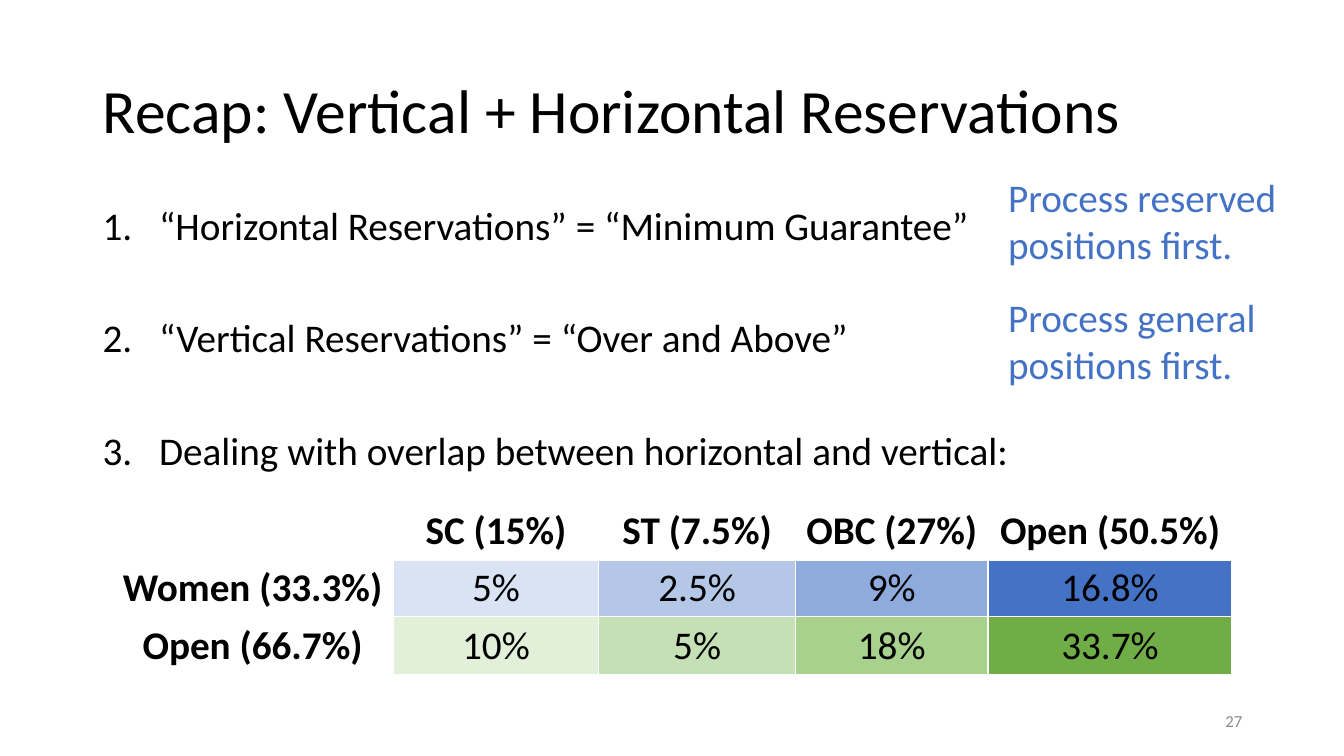
from dataclasses import dataclass

import pptx
import pptx.dml.color
import pptx.enum.text
import pptx.oxml.ns
import pptx.util
from lxml import etree

Inches = pptx.util.Inches
Pt = pptx.util.Pt
ALIGN = pptx.enum.text.PP_ALIGN
ANCHOR = pptx.enum.text.MSO_ANCHOR

FONT = "Calibri"
COLORS = {"text": "000000", "note": "4472C4", "number": "8C8C8C", "border": "FFFFFF"}
WOMEN_FILLS = ["DAE3F3", "B4C7E7", "8FAADC", "4472C4"]
OPEN_FILLS = ["E2F0D9", "C5E0B4", "A9D18E", "70AD47"]


@dataclass
class Area:
    left: float
    top: float
    width: float
    height: float

    def lengths(self) -> list:
        return [Inches(n) for n in (self.left, self.top, self.width, self.height)]


@dataclass
class Note:
    text: str
    top: float


@dataclass
class Row:
    labels: list[str]
    fills: list[str | None]
    bold_columns: range


POINTS = [
    "“Horizontal Reservations” = “Minimum Guarantee”",
    "“Vertical Reservations” = “Over and Above”",
    "Dealing with overlap between horizontal and vertical:",
]
NOTES = [
    Note("Process reserved positions first.", 1.67),
    Note("Process general positions first.", 2.86),
]
COLUMN_WIDTHS = [2.79, 2.04, 1.95, 1.91, 2.42]
ROW_HEIGHT = 0.57
ROWS = [
    Row(["", "SC (15%)", "ST (7.5%)", "OBC (27%)", "Open (50.5%)"], [None] * 5, range(5)),
    Row(["Women (33.3%)", "5%", "2.5%", "9%", "16.8%"], [None, *WOMEN_FILLS], range(1)),
    Row(["Open (66.7%)", "10%", "5%", "18%", "33.7%"], [None, *OPEN_FILLS], range(1)),
]


def write(para, text: str, *, size: float = 28, color: str = "text",
          bold: bool = False, align=ALIGN.LEFT, line_spacing: float = 1.0) -> None:
    """Add one formatted run to a paragraph."""
    para.alignment = align
    para.line_spacing = line_spacing
    span = para.add_run()
    span.text = text
    span.font.name = FONT
    span.font.size = Pt(size)
    span.font.bold = bold
    span.font.color.rgb = pptx.dml.color.RGBColor.from_string(COLORS[color])


def add_box(page, area: Area, anchor=ANCHOR.TOP):
    """Add a wrapping text box and return its text frame."""
    frame = page.shapes.add_textbox(*area.lengths()).text_frame
    frame.word_wrap = True
    frame.vertical_anchor = anchor
    return frame


def number_paragraph(para, indent: float) -> None:
    """Give a paragraph a hanging automatic number."""
    properties = para._p.get_or_add_pPr()
    properties.set("marL", str(Inches(indent)))
    properties.set("indent", str(-Inches(indent)))
    etree.SubElement(properties, pptx.oxml.ns.qn("a:buAutoNum"), type="arabicPeriod")


def add_points(page) -> None:
    frame = add_box(page, Area(0.92, 2, 11.5, 4.76))
    for index, text in enumerate(POINTS):
        para = frame.add_paragraph() if index else frame.paragraphs[0]
        number_paragraph(para, 0.56)
        if index:
            para.space_before = Pt(50)
        write(para, text, line_spacing=0.9)


def add_borders(cell, bottom: float) -> None:
    """Draw white lines round a cell; must precede the cell fill."""
    qn = pptx.oxml.ns.qn
    properties = cell._tc.get_or_add_tcPr()
    for side, width in {"L": 1, "R": 1, "T": 1, "B": bottom}.items():
        line = etree.SubElement(properties, qn(f"a:ln{side}"), w=str(Pt(width)))
        fill = etree.SubElement(line, qn("a:solidFill"))
        etree.SubElement(fill, qn("a:srgbClr"), val=COLORS["border"])


def add_share_table(page) -> None:
    area = Area(1.11, 4.98, sum(COLUMN_WIDTHS), ROW_HEIGHT * len(ROWS))
    table = page.shapes.add_table(len(ROWS), len(COLUMN_WIDTHS), *area.lengths()).table
    table.first_row = table.horz_banding = False
    for column, width in zip(table.columns, COLUMN_WIDTHS):
        column.width = Inches(width)
    for row_index, row in enumerate(ROWS):
        table.rows[row_index].height = Inches(ROW_HEIGHT)
        for column_index, (label, color) in enumerate(zip(row.labels, row.fills)):
            cell = table.cell(row_index, column_index)
            add_borders(cell, bottom=1 if row_index else 3)
            if color:
                cell.fill.solid()
                cell.fill.fore_color.rgb = pptx.dml.color.RGBColor.from_string(color)
            else:
                cell.fill.background()
            if label:
                write(cell.text_frame.paragraphs[0], label, align=ALIGN.CENTER,
                      bold=column_index in row.bold_columns)


def main() -> None:
    deck = pptx.Presentation()
    deck.slide_width, deck.slide_height = Inches(13.33), Inches(7.5)
    page = deck.slides.add_slide(deck.slide_layouts.get_by_name("Title Only"))

    # Title
    title = page.shapes.title
    title.left, title.top, title.width, title.height = Area(0.92, 0.4, 11.5, 1.45).lengths()
    title.text_frame.vertical_anchor = ANCHOR.MIDDLE
    write(title.text_frame.paragraphs[0], "Recap: Vertical + Horizontal Reservations",
          size=44, line_spacing=0.9)

    # Numbered points
    add_points(page)

    # Slide number
    number = add_box(page, Area(9.42, 6.95, 3, 0.4), ANCHOR.MIDDLE)
    write(number.paragraphs[0], "27", size=12, color="number", align=ALIGN.RIGHT)

    # Side notes
    for note in NOTES:
        frame = add_box(page, Area(9.9, note.top, 3.43, 1.04))
        write(frame.paragraphs[0], note.text, color="note")

    # Table of shares
    add_share_table(page)

    deck.save("out.pptx")


if __name__ == "__main__":
    main()
